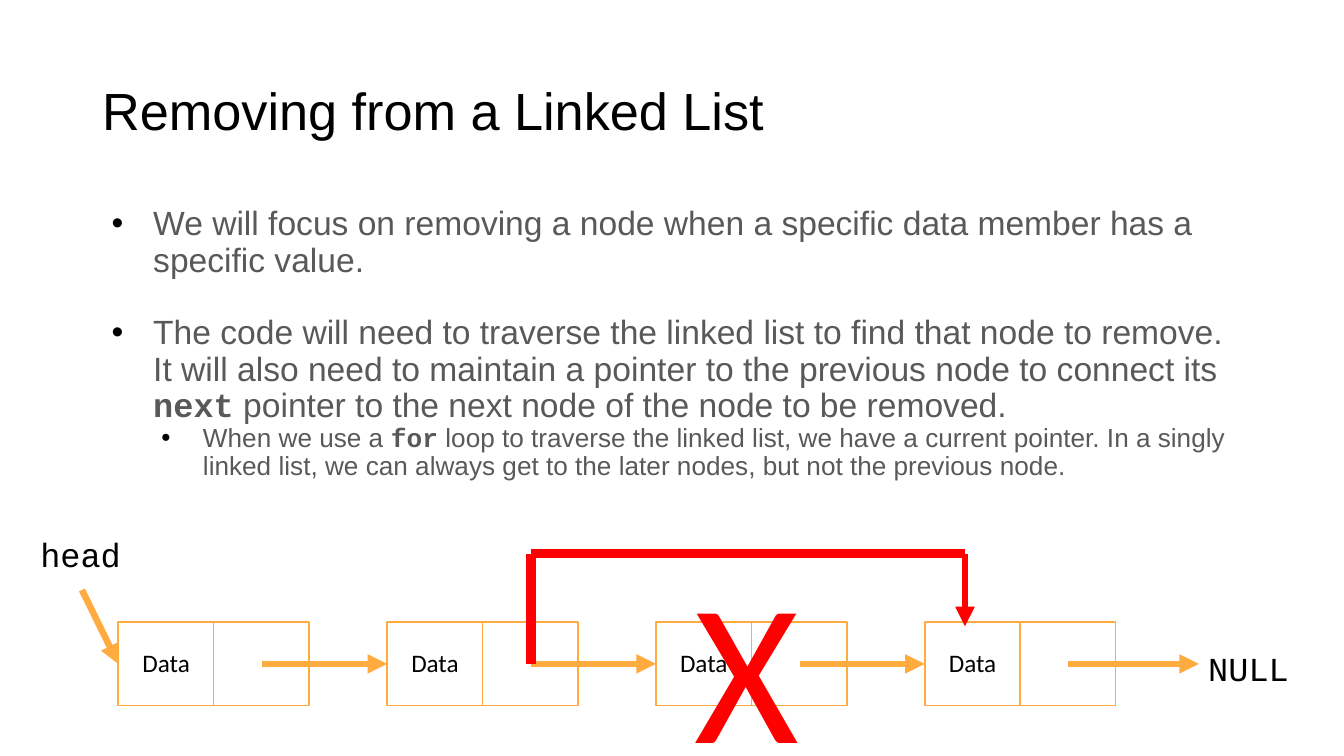
from lxml import etree
from pptx import Presentation
from pptx import util as u
from pptx.dml.color import RGBColor
from pptx.enum import shapes, text
from pptx.oxml.ns import qn

BLACK = RGBColor(0, 0, 0)
GREY = RGBColor(0x59, 0x59, 0x59)
WHITE = RGBColor(0xFF, 0xFF, 0xFF)
ORANGE = RGBColor(0xFF, 0xAB, 0x40)
RED = RGBColor(0xFF, 0, 0)
SANS, CODE, LABEL = "Arial", "Courier New", "Calibri"

# Content
TITLE = "Removing from a Linked List"
# Bullets: level, size, space before, runs of (text, is code)
BULLETS = [
    (0, 18, 0, [("We will focus on removing a node when a specific data member "
                 "has a specific value.", False)]),
    (0, 18, 19.5, [("The code will need to traverse the linked list to find that "
                    "node to remove. It will also need to maintain a pointer to "
                    "the previous node to connect its ", False),
                   ("next", True),
                   (" pointer to the next node of the node to be removed.", False)]),
    (1, 14, 0, [("When we use a ", False), ("for", True),
                (" loop to traverse the linked list, we have a current pointer. In "
                 "a singly linked list, we can always get to the later nodes, but "
                 "not the previous node.", False)]),
]
NODES = ["Data"] * 4
REMOVED = 2

# Grid of the list drawing, in inches
LEFT, TOP, PITCH = 0.88, 4.63, 2.0
NODE_W, NODE_H = 1.42, 0.62
MIDDLE = TOP + NODE_H / 2
POINTER = 1.07          # start of a node's pointer, from its left side
NULL_LEFT = 8.92
BYPASS_TOP = 4.12

deck = Presentation()
deck.slide_width = u.Inches(10)
deck.slide_height = deck.slide_width * 9 // 16
page = deck.slides.add_slide(deck.slide_layouts[5])


def set_frame(frame, anchor=text.MSO_ANCHOR.TOP, wrap=True):
    frame.word_wrap = wrap
    frame.auto_size = text.MSO_AUTO_SIZE.NONE
    frame.vertical_anchor = anchor
    frame.margin_left = frame.margin_right = u.Inches(0.07)
    frame.margin_top = frame.margin_bottom = u.Inches(0.04)


def add_span(para, words, size, font, color, bold=False):
    span = para.add_run()
    span.text = words
    span.font.size, span.font.name, span.font.bold = u.Pt(size), font, bold
    span.font.color.rgb = color


def add_box(left, top, width, height):
    return page.shapes.add_textbox(*map(u.Inches, (left, top, width, height)))


def add_label(words, left, top, width, height, size, font, color=BLACK):
    frame = add_box(left, top, width, height).text_frame
    set_frame(frame, wrap=False)
    add_span(frame.paragraphs[0], words, size, font, color)


def add_line(start, end, color, width, arrow=False):
    line = page.shapes.add_connector(shapes.MSO_CONNECTOR.STRAIGHT,
                                     *map(u.Inches, start + end))
    line.line.color.rgb, line.line.width = color, u.Pt(width)
    if arrow:
        etree.SubElement(line.line._get_or_add_ln(), qn("a:tailEnd"), type="triangle")
    etree.SubElement(line._element.spPr, qn("a:effectLst"))
    return line


def add_bullet(para, level):
    props = para._p.get_or_add_pPr()
    props.set("marL", str(u.Inches((0.38, 0.75)[level])))
    props.set("indent", str(u.Inches(-0.31)))
    color = etree.SubElement(props, qn("a:buClr"))
    etree.SubElement(color, qn("a:srgbClr"), val=str(BLACK))
    etree.SubElement(props, qn("a:buFont"), typeface=SANS)
    etree.SubElement(props, qn("a:buChar"), char="•")


# Title
title = page.shapes.title
title.left, title.top, title.width, title.height = map(u.Inches, (0.69, 0.3, 8.62, 1.09))
set_frame(title.text_frame, text.MSO_ANCHOR.MIDDLE)
para = title.text_frame.paragraphs[0]
para.alignment, para.line_spacing = text.PP_ALIGN.LEFT, 0.9
add_span(para, TITLE, 28, SANS, BLACK)

# Bullets
body = add_box(0.69, 1.5, 8.62, 3.57).text_frame
set_frame(body)
for i, (level, size, before, spans) in enumerate(BULLETS):
    para = body.add_paragraph() if i else body.paragraphs[0]
    para.level, para.line_spacing, para.space_before = level, 0.9, u.Pt(before)
    add_bullet(para, level)
    for words, is_code in spans:
        add_span(para, words, size, CODE if is_code else SANS, GREY, is_code)

# Nodes
lefts = [LEFT + i * PITCH for i in range(len(NODES))]
nodes = []
for left, words in zip(lefts, NODES):
    node = page.shapes.add_shape(shapes.MSO_SHAPE.RECTANGLE,
                                 *map(u.Inches, (left, TOP, NODE_W, NODE_H)))
    node.shadow.inherit = False
    node.fill.solid()
    node.fill.fore_color.rgb = WHITE
    node.line.color.rgb, node.line.width = ORANGE, u.Pt(1)
    nodes.append(node)
    center = left + NODE_W / 2
    add_line((center, TOP), (center, TOP + NODE_H), ORANGE, 0.75)
    add_label(words, left + 0.11, TOP + 0.15, 0.51, 0.3, 13.5, LABEL)

# Pointers to the next node, the last one to NULL
for left, end, target in zip(lefts, lefts[1:] + [NULL_LEFT], nodes[1:] + [None]):
    arrow = add_line((left + POINTER, MIDDLE), (end, MIDDLE), ORANGE, 3.5, True)
    if target is not None:
        arrow.end_connect(target, 1)
add_label("NULL", NULL_LEFT, 4.78, 0.76, 0.38, 18, CODE)

# Head pointer
add_label("head", 0.23, 3.93, 0.76, 0.38, 18, CODE)
add_line((0.61, 4.39), (LEFT, MIDDLE), ORANGE, 3.5, True).end_connect(nodes[0], 1)

# Cross over the removed node
add_label("X", lefts[REMOVED] + 0.22, 3.99, 0.94, 1.57, 108, LABEL, RED)

# Bypass from the node before to the node after
start_x = lefts[REMOVED - 1] + POINTER
end_x = lefts[REMOVED + 1] + 0.3
add_line((start_x, MIDDLE), (start_x, BYPASS_TOP), RED, 5)
add_line((end_x, BYPASS_TOP), (start_x, BYPASS_TOP), RED, 5)
add_line((end_x, BYPASS_TOP), (end_x, TOP + 0.03), RED, 3.5, True)

deck.save("out.pptx")
